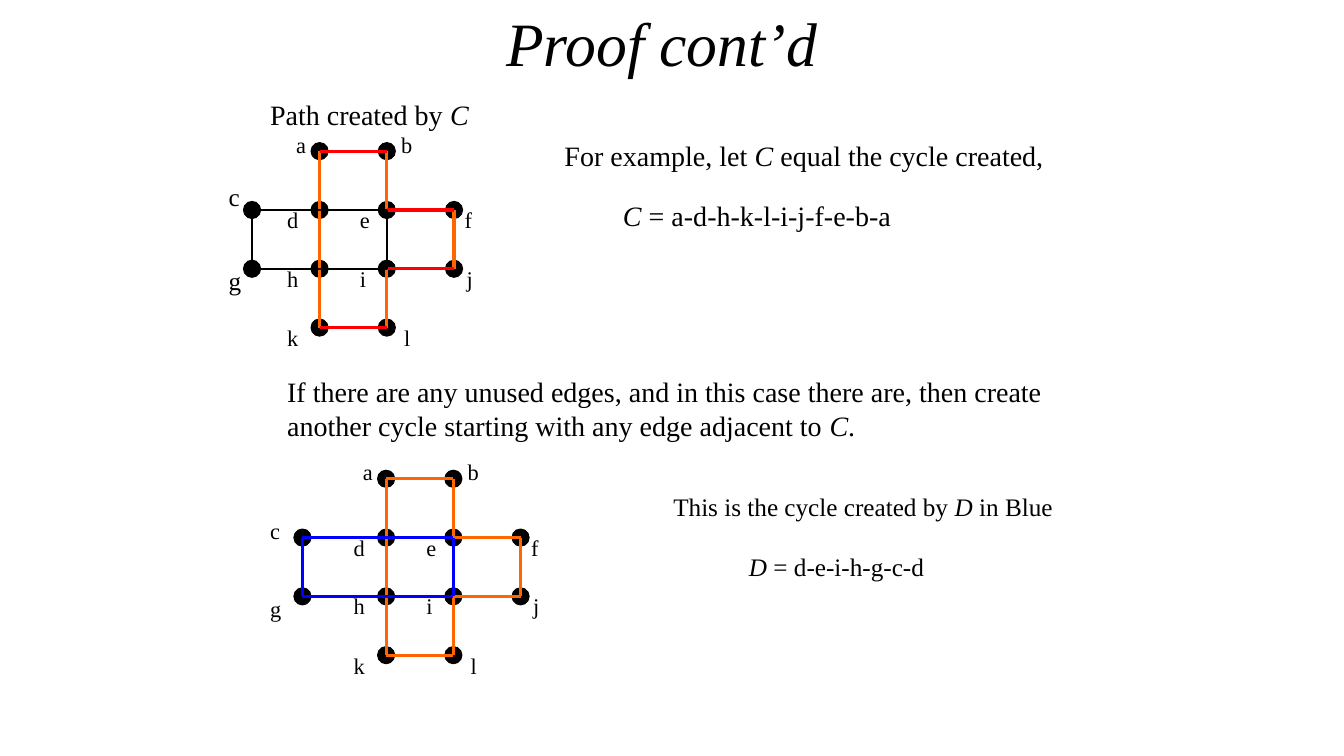
from dataclasses import dataclass

from lxml import etree
from pptx import Presentation
from pptx.dml.color import RGBColor
from pptx.enum.shapes import MSO_CONNECTOR, MSO_SHAPE
from pptx.enum.text import MSO_ANCHOR, MSO_AUTO_SIZE, PP_ALIGN
from pptx.oxml.ns import qn
from pptx.slide import Slide
from pptx.text.text import TextFrame
from pptx.util import Inches, Pt

LINE, OVAL = MSO_CONNECTOR.STRAIGHT, MSO_SHAPE.OVAL
TOP, LEFT, NO_FIT = MSO_ANCHOR.TOP, PP_ALIGN.LEFT, MSO_AUTO_SIZE.NONE
FONT = "Times New Roman"
COLORS = {"black": "000000", "orange": "FF6600", "red": "FF0000", "blue": "0000FF"}
DOT = 0.17
STEP_X, STEP_Y = 2 / 3, 7 / 12

# Column and row of each vertex; c and g sit in a column of their own
GRID = {"a": (0, 0), "b": (1, 0), "d": (0, 1), "e": (1, 1), "f": (2, 1),
        "h": (0, 2), "i": (1, 2), "j": (2, 2), "k": (0, 3), "l": (1, 3)}


@dataclass
class Run:
    text: str
    italic: bool = False


@dataclass
class Text:
    x: float
    y: float
    w: float
    h: float
    size: int
    runs: list[Run]
    tabs: tuple[float, ...] = ()


@dataclass
class LabelRow:
    dx: float
    dy: float
    w: float
    letters: str
    tabs: tuple[float, ...]


@dataclass
class Edges:
    pairs: str
    color: str
    width: float


@dataclass
class Graph:
    x: float
    y: float
    side_x: float
    side_labels: list[Text]
    edges: list[Edges]


LABEL_ROWS = [
    LabelRow(-0.33, -0.25, 1.67, "ab", (1.04,)),
    LabelRow(-0.42, 0.5, 2.25, "def", (0.72, 1.76)),
    LabelRow(-0.42, 1.08, 2.25, "hij", (0.72, 1.78)),
    LabelRow(-0.42, 1.67, 1.58, "kl", (1.16,)),
]

GRAPHS = [
    Graph(3.17, 1.5, 2.5,
          [Text(2.17, 1.75, 0.35, 0.4, 18, [Run("c")]),
           Text(2.17, 2.58, 0.35, 0.4, 18, [Run("g")])],
          [Edges("ad dh hk be fj il", "orange", 2.25),
           Edges("ab ef ij kl", "red", 2.25),
           Edges("cg cd gh hi de ei", "black", 1.5)]),
    Graph(3.83, 4.75, 3.0,
          [Text(2.58, 5.08, 0.42, 0.37, 16, [Run("c")]),
           Text(2.58, 5.86, 0.42, 0.37, 16, [Run("g")])],
          [Edges("be ab ef fj kl ij ad dh hk il", "orange", 2.25),
           Edges("cg ei cd de gh hi", "blue", 2.25)]),
]

TEXTS = [
    Text(2.58, 0.92, 2.17, 0.77, 20, [Run("Path created by "), Run("C", True)]),
    Text(5.5, 1.33, 5.41, 0.43, 20,
         [Run("For example, let "), Run("C", True), Run(" equal the cycle created,")]),
    Text(6.08, 1.92, 4.25, 0.43, 20, [Run("C", True), Run(" = a-d-h-k-l-i-j-f-e-b-a")]),
    Text(2.75, 3.67, 8.33, 0.77, 20,
         [Run("If there are any unused edges, and in this case there are, then create "
              "another cycle starting with any edge adjacent to "),
          Run("C", True), Run(".")]),
    Text(6.58, 4.83, 4.33, 0.4, 18,
         [Run("This is the cycle created by "), Run("D", True), Run(" in Blue")]),
    Text(7.33, 5.42, 2.92, 0.4, 18, [Run("D ", True), Run("= d-e-i-h-g-c-d")]),
]


def rgb(name: str) -> RGBColor:
    return RGBColor.from_string(COLORS[name])


def write(tf: TextFrame, text: Text) -> None:
    tf.word_wrap = True
    tf.auto_size = NO_FIT
    tf.vertical_anchor = TOP
    p = tf.paragraphs[0]
    if text.tabs:
        tab_list = etree.SubElement(p._p.get_or_add_pPr(), qn("a:tabLst"))
        for pos in text.tabs:
            etree.SubElement(tab_list, qn("a:tab"), pos=str(Inches(pos)), algn="l")
    p.alignment = LEFT
    for run in text.runs:
        r = p.add_run()
        r.text = run.text
        r.font.name = FONT
        r.font.size = Pt(text.size)
        r.font.italic = run.italic
        r.font.color.rgb = rgb("black")


def add_text(s: Slide, text: Text) -> None:
    sp = s.shapes.add_textbox(Inches(text.x), Inches(text.y), Inches(text.w), Inches(text.h))
    write(sp.text_frame, text)


def add_dot(s: Slide, x: float, y: float) -> None:
    sp = s.shapes.add_shape(OVAL, Inches(x - DOT / 2), Inches(y - DOT / 2),
                            Inches(DOT), Inches(DOT))
    sp.shadow.inherit = False
    sp.fill.solid()
    sp.fill.fore_color.rgb = rgb("black")
    sp.line.color.rgb = rgb("black")
    sp.line.width = Pt(0.75)


def add_edge(s: Slide, start: tuple[float, float], end: tuple[float, float],
             edges: Edges) -> None:
    sp = s.shapes.add_connector(LINE, *(Inches(v) for v in start + end))
    etree.SubElement(sp._element.spPr, qn("a:effectLst"))
    sp.line.color.rgb = rgb(edges.color)
    sp.line.width = Pt(edges.width)


def add_graph(s: Slide, graph: Graph) -> None:
    points = {name: (graph.x + col * STEP_X, graph.y + row * STEP_Y)
              for name, (col, row) in GRID.items()}
    points["c"] = (graph.side_x, points["d"][1])
    points["g"] = (graph.side_x, points["h"][1])
    # Vertices
    for x, y in points.values():
        add_dot(s, x, y)
    # Letters
    for row in LABEL_ROWS:
        add_text(s, Text(graph.x + row.dx, graph.y + row.dy, row.w, 0.37, 16,
                         [Run("\t".join(row.letters))], row.tabs))
    for label in graph.side_labels:
        add_text(s, label)
    # Edges
    for edges in graph.edges:
        for start, end in edges.pairs.split():
            add_edge(s, points[start], points[end], edges)


def main() -> None:
    prs = Presentation()
    prs.slide_width, prs.slide_height = Inches(13.33), Inches(7.5)
    s = prs.slides.add_slide(prs.slide_layouts[5])

    # Title
    title = s.shapes.title
    title.left, title.top = Inches(4.92), Inches(0)
    title.width, title.height = Inches(3.42), Inches(0.84)
    write(title.text_frame, Text(4.92, 0, 3.42, 0.84, 44, [Run("Proof cont’d", True)]))

    # Explanations and the two graphs
    for text in TEXTS:
        add_text(s, text)
    for graph in GRAPHS:
        add_graph(s, graph)

    prs.save("out.pptx")


if __name__ == "__main__":
    main()
